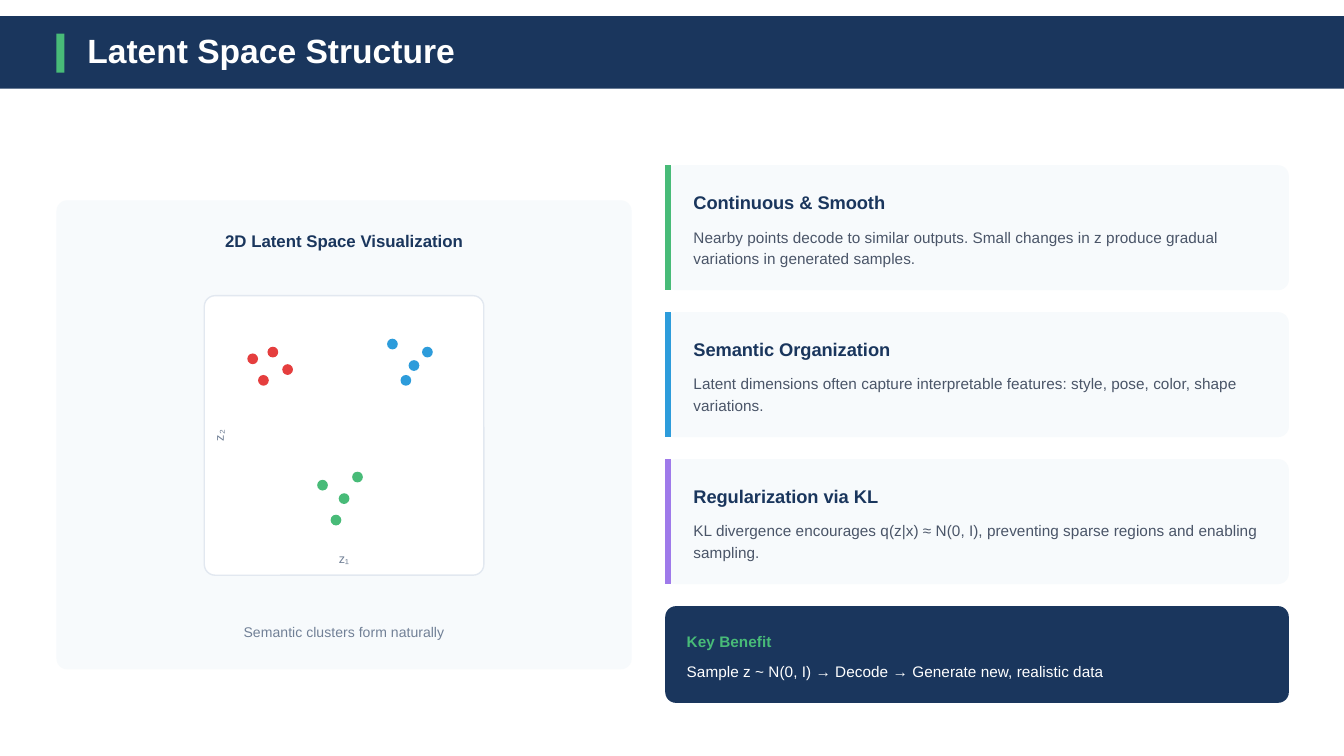
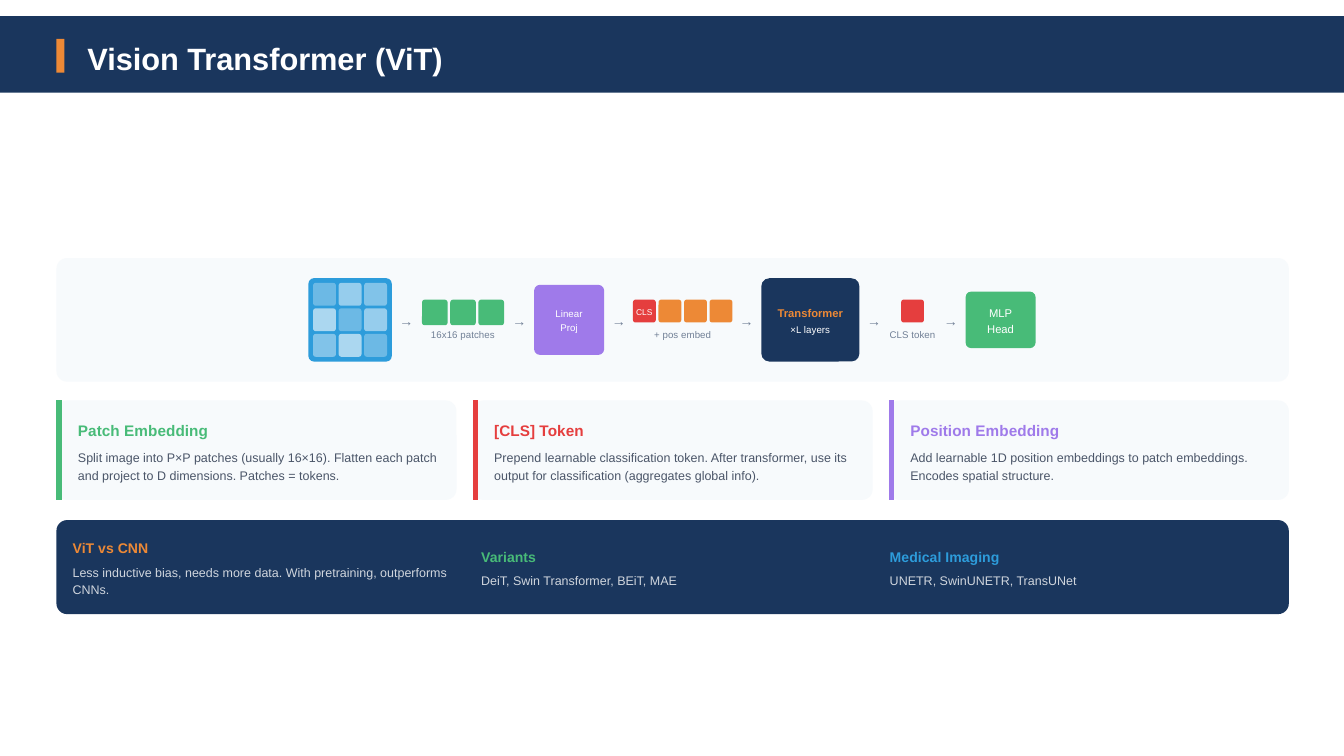
from dataclasses import dataclass

from lxml import etree
from pptx import Presentation
from pptx.dml.color import RGBColor
from pptx.enum.shapes import MSO_CONNECTOR, MSO_SHAPE
from pptx.enum.text import MSO_ANCHOR, MSO_AUTO_SIZE, PP_ALIGN
from pptx.oxml.ns import qn
from pptx.util import Inches, Pt


@dataclass(frozen=True)
class Theme:
    font: str = "Arial"
    navy: str = "1A365D"
    green: str = "48BB78"
    blue: str = "2D9CDB"
    purple: str = "9F7AEA"
    red: str = "E53E3E"
    orange: str = "ED8936"
    white: str = "FFFFFF"
    panel: str = "F7FAFC"
    border: str = "E2E8F0"
    body: str = "4A5568"
    muted: str = "718096"
    large: float = 9.75
    chart_title: float = 9
    medium: float = 8.25
    normal: float = 7.5
    small: float = 6.75
    label: float = 6
    caption: float = 5.25
    tiny: float = 4.5
    leading: float = 1.4
    margin: float = 0.42
    content_width: float = 9.17
    corner: float = 0.08


T = Theme()


@dataclass(frozen=True)
class Line:
    text: str
    size: float
    color: str
    bold: bool = False
    leading: float = T.leading
    after: float = 0


@dataclass(frozen=True)
class Header:
    text: str
    accent: str
    band_height: float
    mark: tuple  # top, height
    title: tuple  # top, height
    size: float
    leading: float = T.leading


LATENT_HEADER = Header("Latent Space Structure", T.green, 0.54, (0.25, 0.29), (0.27, 0.25), 18, 1)
VIT_HEADER = Header("Vision Transformer (ViT)", T.orange, 0.57, (0.29, 0.25), (0.25, 0.32), 16.5)

CLUSTERS = {
    T.red: [(1.84, 2.63), (1.99, 2.58), (1.92, 2.79), (2.1, 2.71)],
    T.blue: [(2.88, 2.52), (3.04, 2.68), (3.14, 2.58), (2.98, 2.79)],
    T.green: [(2.36, 3.57), (2.52, 3.67), (2.62, 3.51), (2.46, 3.83)],
}
LATENT_CARDS = [
    (T.green, "Continuous & Smooth",
     "Nearby points decode to similar outputs. Small changes in z produce gradual "
     "variations in generated samples."),
    (T.blue, "Semantic Organization",
     "Latent dimensions often capture interpretable features: style, pose, color, shape variations."),
    (T.purple, "Regularization via KL",
     "KL divergence encourages q(z|x) ≈ N(0, I), preventing sparse regions and enabling sampling."),
]
KEY_BENEFIT = ("Key Benefit", "Sample z ~ N(0, I) → Decode → Generate new, realistic data")

IMAGE_OPACITY = [(30, 50, 40), (60, 30, 50), (40, 60, 30)]
VIT_CARDS = [
    (T.green, "Patch Embedding",
     "Split image into P×P patches (usually 16×16). Flatten each patch and project to D "
     "dimensions. Patches = tokens."),
    (T.red, "[CLS] Token",
     "Prepend learnable classification token. After transformer, use its output for "
     "classification (aggregates global info)."),
    (T.purple, "Position Embedding",
     "Add learnable 1D position embeddings to patch embeddings. Encodes spatial structure."),
]
VIT_NOTES = [
    (T.orange, "ViT vs CNN",
     "Less inductive bias, needs more data. With pretraining, outperforms CNNs."),
    (T.green, "Variants", "DeiT, Swin Transformer, BEiT, MAE"),
    (T.blue, "Medical Imaging", "UNETR, SwinUNETR, TransUNet"),
]


def rgb(color):
    return RGBColor.from_string(color)


def inches(*values):
    return [Inches(value) for value in values]


def set_opacity(element, percent, color):
    """Make every use of a colour inside an element translucent."""
    for node in element.iter(qn("a:srgbClr")):
        if node.get("val") == color:
            etree.SubElement(node, qn("a:alpha")).set("val", str(percent * 1000))


def write(shape, lines, align=PP_ALIGN.LEFT, anchor=MSO_ANCHOR.MIDDLE):
    frame = shape.text_frame
    frame.word_wrap = True
    frame.auto_size = MSO_AUTO_SIZE.NONE
    frame.vertical_anchor = anchor
    frame.margin_left = frame.margin_right = frame.margin_top = frame.margin_bottom = 0
    for index, line in enumerate(lines):
        paragraph = frame.add_paragraph() if index else frame.paragraphs[0]
        paragraph.alignment = align
        paragraph.line_spacing = Pt(line.size * line.leading)
        paragraph.space_before = Pt(0)
        paragraph.space_after = Pt(line.after)
        run = paragraph.add_run()
        run.text = line.text
        run.font.name = T.font
        run.font.size = Pt(line.size)
        run.font.bold = line.bold
        run.font.color.rgb = rgb(line.color)


def add_text(slide, box, lines, align=PP_ALIGN.LEFT):
    shape = slide.shapes.add_textbox(*inches(*box))
    write(shape, lines, align)
    return shape


def add_label(slide, center, middle, width, line):
    """Centre one line of text on a point."""
    return add_text(slide, (center - width / 2, middle - 0.08, width, 0.16), [line], PP_ALIGN.CENTER)


def add_box(slide, box, fill, radius=0.0, kind=None, border=None):
    kind = kind or (MSO_SHAPE.ROUNDED_RECTANGLE if radius else MSO_SHAPE.RECTANGLE)
    shape = slide.shapes.add_shape(kind, *inches(*box))
    shape.shadow.inherit = False
    shape.fill.solid()
    shape.fill.fore_color.rgb = rgb(fill)
    if radius:
        shape.adjustments[0] = radius / min(box[2:])
    if border:
        shape.line.color.rgb = rgb(border)
        shape.line.width = Pt(0.75)
    else:
        shape.line.fill.background()
    return shape


def add_card(slide, box, accent, lines, inset):
    left, top, width, height = box
    add_box(slide, box, T.panel, T.corner)
    x = left + 0.02
    bar = slide.shapes.add_connector(MSO_CONNECTOR.STRAIGHT, *inches(x, top, x, top + height))
    bar.line.color.rgb = rgb(accent)
    bar.line.width = Pt(3)
    etree.SubElement(bar.element.spPr, qn("a:effectLst"))
    add_text(slide, (left + inset, top, width - inset - 0.08, height), lines)


def add_slide(presentation, header):
    slide = presentation.slides.add_slide(presentation.slide_layouts[5])
    slide.background.fill.solid()
    slide.background.fill.fore_color.rgb = rgb(T.white)
    add_box(slide, (0, 0.12, 10, header.band_height), T.navy)
    mark_top, mark_height = header.mark
    add_box(slide, (T.margin, mark_top, 0.06, mark_height), header.accent)
    title = slide.shapes.title
    title_top, title_height = header.title
    title.left, title.top, title.width, title.height = inches(0.65, title_top, 2.8, title_height)
    write(title, [Line(header.text, header.size, T.white, True, header.leading)], anchor=MSO_ANCHOR.TOP)
    title.element.getparent().append(title.element)  # bring in front of the band
    return slide


def build_latent_slide(presentation):
    slide = add_slide(presentation, LATENT_HEADER)

    panel_width, plot_side, dot = 4.28, 2.08, 0.08
    center = T.margin + panel_width / 2
    add_box(slide, (T.margin, 1.49, panel_width, 3.49), T.panel, T.corner)
    add_label(slide, center, 1.78, 1.9,
              Line("2D Latent Space Visualization", T.chart_title, T.navy, True))
    add_box(slide, (center - plot_side / 2, 2.2, plot_side, plot_side), T.white, T.corner,
            border=T.border)
    for color, points in CLUSTERS.items():
        for left, top in points:
            add_box(slide, (left, top, dot, dot), color, kind=MSO_SHAPE.OVAL)
    add_label(slide, center, 4.15, 0.16, Line("z₁", T.small, T.muted))
    vertical = add_label(slide, 1.62, 3.24, 0.16, Line("z₂", T.small, T.muted))
    vertical.rotation = 270
    add_label(slide, center, 4.69, 1.6, Line("Semantic clusters form naturally", T.normal, T.muted))

    left, top, bottom, width = 4.95, 1.23, 5.23, 4.64
    card_height, benefit_height = 0.93, 0.72
    count = len(LATENT_CARDS)
    gap = (bottom - top - count * card_height - benefit_height) / count
    for index, (accent, heading, body) in enumerate(LATENT_CARDS):
        box = (left, top + index * (card_height + gap), width, card_height)
        add_card(slide, box, accent, [Line(heading, T.large, T.navy, True, after=6),
                                      Line(body, T.medium, T.body)], 0.21)
    benefit_top = bottom - benefit_height
    add_box(slide, (left, benefit_top, width, benefit_height), T.navy, T.corner)
    heading, body = KEY_BENEFIT
    add_text(slide, (left + 0.16, benefit_top, 4.4, benefit_height),
             [Line(heading, T.medium, T.green, True, after=4.5), Line(body, T.medium, T.white)])


def add_row(slide, center, top, side, colors):
    """Draw a centred row of small squares and return them."""
    pitch = side + 0.02
    left = center - (len(colors) * pitch - 0.02) / 2
    return [add_box(slide, (left + index * pitch, top, side, side), color, 0.02)
            for index, color in enumerate(colors)]


def add_flow(slide, middle):
    cell, token_top, caption_middle, step = 0.17, 2.23, 2.48, 0.22

    def block(center, width, height, fill, radius, lines):
        shape = add_box(slide, (center - width / 2, middle - height / 2, width, height), fill, radius)
        write(shape, lines, PP_ALIGN.CENTER)

    def caption(center, text):
        add_label(slide, center, caption_middle, 0.62, Line(text, T.caption, T.muted))

    def image(center, width):
        add_box(slide, (center - width / 2, middle - width / 2, width, width), T.blue, 0.04)
        grid_top = middle - (3 * cell + 0.04) / 2
        for row, opacities in enumerate(IMAGE_OPACITY):
            squares = add_row(slide, center, grid_top + row * (cell + 0.02), cell, [T.white] * 3)
            for square, opacity in zip(squares, opacities):
                set_opacity(square.element, opacity, T.white)

    def patches(center, width):
        add_row(slide, center, token_top, 0.19, [T.green] * 3)
        caption(center, "16x16 patches")

    def projection(center, width):
        block(center, width, width, T.purple, 0.04,
              [Line(word, T.caption, T.white) for word in ("Linear", "Proj")])

    def tokens(center, width):
        squares = add_row(slide, center, token_top, cell, [T.red] + [T.orange] * 3)
        write(squares[0], [Line("CLS", T.tiny, T.white)], PP_ALIGN.CENTER)
        caption(center, "+ pos embed")

    def transformer(center, width):
        block(center, width, 0.62, T.navy, 0.06,
              [Line("Transformer", T.label, T.orange, True, after=1.5),
               Line("×L layers", T.caption, T.white)])

    def class_token(center, width):
        add_row(slide, center, token_top, cell, [T.red])
        caption(center, "CLS token")

    def head(center, width):
        block(center, width, 0.42, T.green, 0.04,
              [Line(word, T.label, T.white) for word in ("MLP", "Head")])

    stages = [(image, 0.62), (patches, 0.62), (projection, 0.52), (tokens, 0.73),
              (transformer, 0.73), (class_token, 0.35), (head, 0.52)]
    total = sum(width for _, width in stages) + step * (len(stages) - 1)
    left = (10 - total) / 2
    for index, (draw, width) in enumerate(stages):
        if index:
            add_label(slide, left - step / 2, middle, 0.12, Line("→", T.normal, T.muted))
        draw(left + width / 2, width)
        left += width + step


def build_vit_slide(presentation):
    slide = add_slide(presentation, VIT_HEADER)
    add_box(slide, (T.margin, 1.92, T.content_width, 0.92), T.panel, T.corner)
    add_flow(slide, 2.38)

    gap = 0.12
    pitch = (T.content_width + gap) / len(VIT_CARDS)
    for index, (accent, heading, body) in enumerate(VIT_CARDS):
        box = (T.margin + index * pitch, 2.98, pitch - gap, 0.74)
        add_card(slide, box, accent, [Line(heading, T.medium, accent, True, after=4.5),
                                      Line(body, T.small, T.body)], 0.16)

    band_top, band_height = 3.87, 0.7
    add_box(slide, (T.margin, band_top, T.content_width, band_height), T.navy, T.corner)
    for index, (accent, heading, body) in enumerate(VIT_NOTES):
        note = add_text(slide, (0.54 + index * 3.04, band_top, 2.89, band_height),
                        [Line(heading, T.normal, accent, True, after=3),
                         Line(body, T.small, T.white)])
        set_opacity(note.element, 80, T.white)


def main():
    presentation = Presentation()
    presentation.slide_width = Inches(10)
    presentation.slide_height = Inches(10) * 9 // 16
    build_latent_slide(presentation)
    build_vit_slide(presentation)
    presentation.save("out.pptx")


if __name__ == "__main__":
    main()
